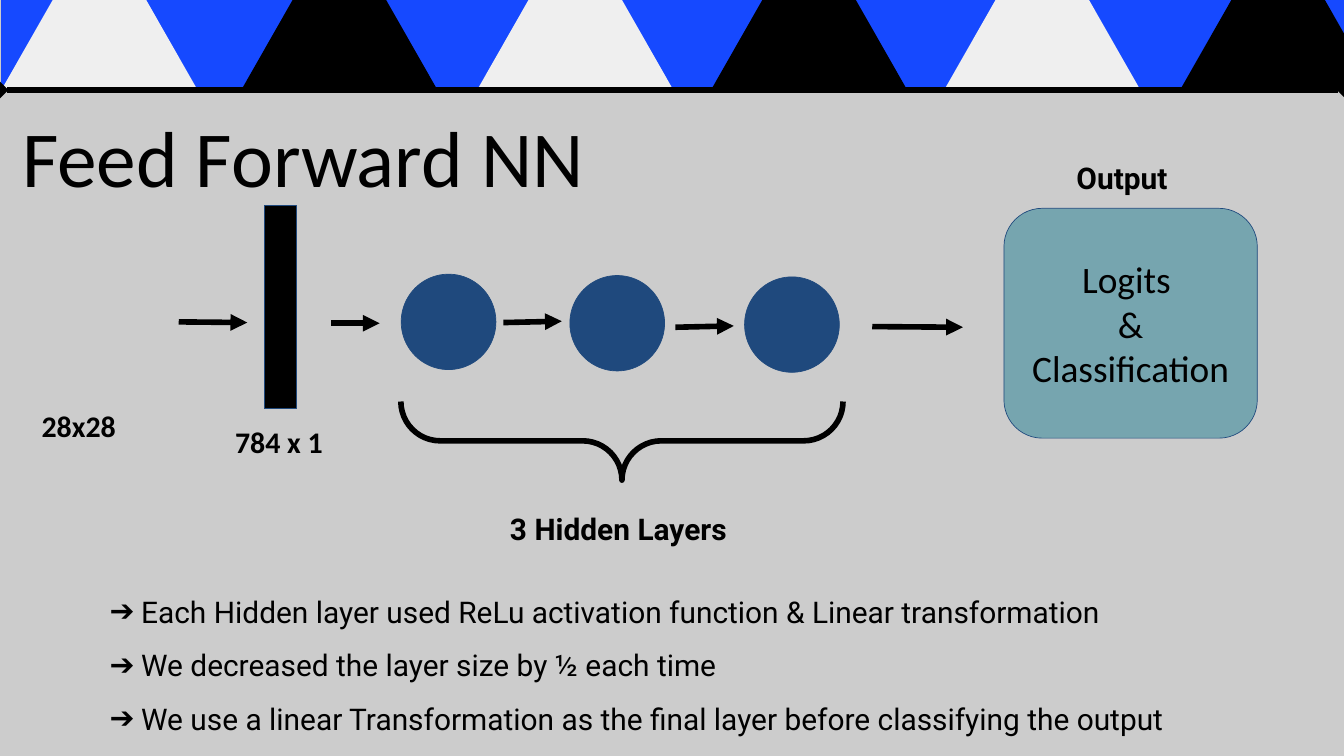
from dataclasses import dataclass
from itertools import cycle

from lxml.etree import SubElement
from pptx import Presentation
from pptx.dml.color import RGBColor
from pptx.enum.shapes import MSO_CONNECTOR, MSO_SHAPE
from pptx.enum.text import MSO_ANCHOR, MSO_AUTO_SIZE, PP_ALIGN
from pptx.oxml.ns import qn
from pptx.util import Emu, Pt

EMU_PER_PX = 9144  # 100 px to the inch


@dataclass(frozen=True)
class Theme:
    page: str = "CCCCCC"
    ink: str = "000000"
    navy: str = "1F497D"
    teal: str = "76A5AF"
    blue: str = "1649FF"
    pale: str = "EFEFEF"
    plain_font: str = "Calibri"
    text_font: str = "Roboto"
    title_size: int = 85
    output_size: int = 40
    text_size: int = 32
    heavy_line: float = 6
    thin_line: float = 0.75


THEME = Theme()


@dataclass(frozen=True)
class Box:
    left: int
    top: int
    width: int
    height: int

    def lengths(self) -> tuple:
        return px(self.left), px(self.top), px(self.width), px(self.height)


@dataclass(frozen=True)
class Label:
    text: str
    box: Box
    font: str


@dataclass(frozen=True)
class Arrow:
    start: tuple
    end: tuple
    head: str = ""
    tail: str = "triangle"


LABELS = (
    Label("28x28", Box(52, 597, 136, 71), THEME.plain_font),
    Label("784 x 1", Box(340, 620, 177, 71), THEME.plain_font),
    Label("3 Hidden Layers", Box(749, 750, 355, 71), THEME.text_font),
    Label("Output", Box(1592, 227, 177, 71), THEME.text_font),
)
ARROWS = (
    Arrow((266, 479), (368, 480)),
    Arrow((493, 481), (565, 481)),
    Arrow((749, 480), (836, 478)),
    Arrow((1005, 487), (1092, 485)),
    Arrow((1298, 486), (1433, 487)),
)
LAYER_CORNERS = ((597, 408), (848, 410), (1108, 412))
TRIANGLE_LEFTS = (2, 359, 710, 1058, 1405, 1756)
BORDER = Arrow((2002, 134), (0, 134), "diamond", "diamond")
POINTS = (
    "Each Hidden layer used ReLu activation function & Linear transformation",
    "We decreased the layer size by ½ each time",
    "We use a linear Transformation as the final layer before classifying the output",
)


def px(length: int) -> Emu:
    return Emu(length * EMU_PER_PX)


def color(value: str) -> RGBColor:
    return RGBColor.from_string(value)


def place(shape, box: Box) -> None:
    shape.left, shape.top, shape.width, shape.height = box.lengths()


def prepare_frame(shape, anchor=MSO_ANCHOR.TOP):
    frame = shape.text_frame
    frame.word_wrap = True
    frame.auto_size = MSO_AUTO_SIZE.NONE
    frame.vertical_anchor = anchor
    frame.margin_left = frame.margin_right = px(10)
    frame.margin_top = frame.margin_bottom = px(10)
    return frame


def write(frame, lines, font: str, size: int, bold: bool = False,
          align=PP_ALIGN.LEFT, spacing: float = 1.0) -> None:
    for index, line in enumerate(lines):
        para = frame.add_paragraph() if index else frame.paragraphs[0]
        para.alignment = align
        para.line_spacing = spacing
        para.space_before = para.space_after = Pt(0)
        span = para.add_run()
        span.text = line
        span.font.name = font
        span.font.size = Pt(size)
        span.font.bold = bold
        span.font.color.rgb = color(THEME.ink)


def add_bullet(para) -> None:
    properties = para._p.get_or_add_pPr()
    properties.set("marL", str(px(50)))
    properties.set("indent", str(px(-47)))
    bullet_color = SubElement(properties, qn("a:buClr"))
    SubElement(bullet_color, qn("a:srgbClr"), val=THEME.ink)
    SubElement(properties, qn("a:buFont"), typeface=THEME.text_font)
    SubElement(properties, qn("a:buChar"), char="➔")


def add_solid(page, kind, box: Box, fill: str):
    shape = page.shapes.add_shape(kind, *box.lengths())
    shape.shadow.inherit = False
    shape.fill.solid()
    shape.fill.fore_color.rgb = color(fill)
    shape.line.color.rgb = color(THEME.navy)
    shape.line.width = Pt(THEME.thin_line)
    return shape


def add_outline(page, corners, fill: str) -> None:
    builder = page.shapes.build_freeform(*corners[0], scale=EMU_PER_PX)
    builder.add_line_segments(corners[1:], close=True)
    shape = builder.convert_to_shape()
    shape.shadow.inherit = False
    shape.fill.solid()
    shape.fill.fore_color.rgb = color(fill)
    shape.line.fill.background()


def add_arrow(page, arrow: Arrow) -> None:
    ends = [px(value) for value in arrow.start + arrow.end]
    connector = page.shapes.add_connector(MSO_CONNECTOR.STRAIGHT, *ends)
    connector.line.color.rgb = color(THEME.ink)
    connector.line.width = Pt(THEME.heavy_line)
    line = connector.line._get_or_add_ln()
    for tag, kind in (("a:headEnd", arrow.head), ("a:tailEnd", arrow.tail)):
        if kind:
            SubElement(line, qn(tag), type=kind)
    SubElement(connector._element.spPr, qn("a:effectLst"))


def add_label(page, label: Label) -> None:
    shape = page.shapes.add_textbox(*label.box.lengths())
    write(prepare_frame(shape), [label.text], label.font, THEME.text_size, bold=True)


def main() -> None:
    deck = Presentation()
    deck.slide_width, deck.slide_height = px(2000), px(1125)
    page = deck.slides.add_slide(deck.slide_layouts[1])
    page.background.fill.solid()
    page.background.fill.fore_color.rgb = color(THEME.page)

    # Title and bullet list
    title, body = page.placeholders
    place(title, Box(23, 123, 1708, 124))
    write(prepare_frame(title), ["Feed Forward NN"], THEME.plain_font,
          THEME.title_size, spacing=1.2)
    place(body, Box(150, 846, 1608, 279))
    write(prepare_frame(body), POINTS, THEME.text_font, THEME.text_size, spacing=1.5)
    for para in body.text_frame.paragraphs:
        add_bullet(para)

    # Network: input vector, hidden layers, output
    add_solid(page, MSO_SHAPE.RECTANGLE, Box(393, 306, 48, 302), THEME.ink)
    for left, top in LAYER_CORNERS:
        add_solid(page, MSO_SHAPE.OVAL, Box(left, top, 141, 142), THEME.navy)
    output = add_solid(page, MSO_SHAPE.ROUNDED_RECTANGLE,
                       Box(1494, 310, 377, 342), THEME.teal)
    write(prepare_frame(output, MSO_ANCHOR.MIDDLE), ("Logits ", "&", "Classification"),
          THEME.plain_font, THEME.output_size, align=PP_ALIGN.CENTER)
    for arrow in ARROWS:
        add_arrow(page, arrow)

    # Brace under the hidden layers
    brace = add_solid(page, MSO_SHAPE.RIGHT_BRACE, Box(867, 327, 117, 658), THEME.ink)
    brace.fill.background()
    brace.line.color.rgb = color(THEME.ink)
    brace.line.width = Pt(THEME.heavy_line)
    brace.adjustments[0] = brace.adjustments[1] = 0.5
    brace.rotation = 90

    for label in LABELS:
        add_label(page, label)

    # Banner of triangles along the top edge
    add_outline(page, ((2, -404), (2002, -404), (2002, 134), (2, 134)), THEME.blue)
    for left, fill in zip(TRIANGLE_LEFTS, cycle((THEME.pale, THEME.ink))):
        add_outline(page, ((left + 146, -122), (left, 134), (left + 292, 134)), fill)
    add_arrow(page, BORDER)

    deck.save("out.pptx")


if __name__ == "__main__":
    main()
